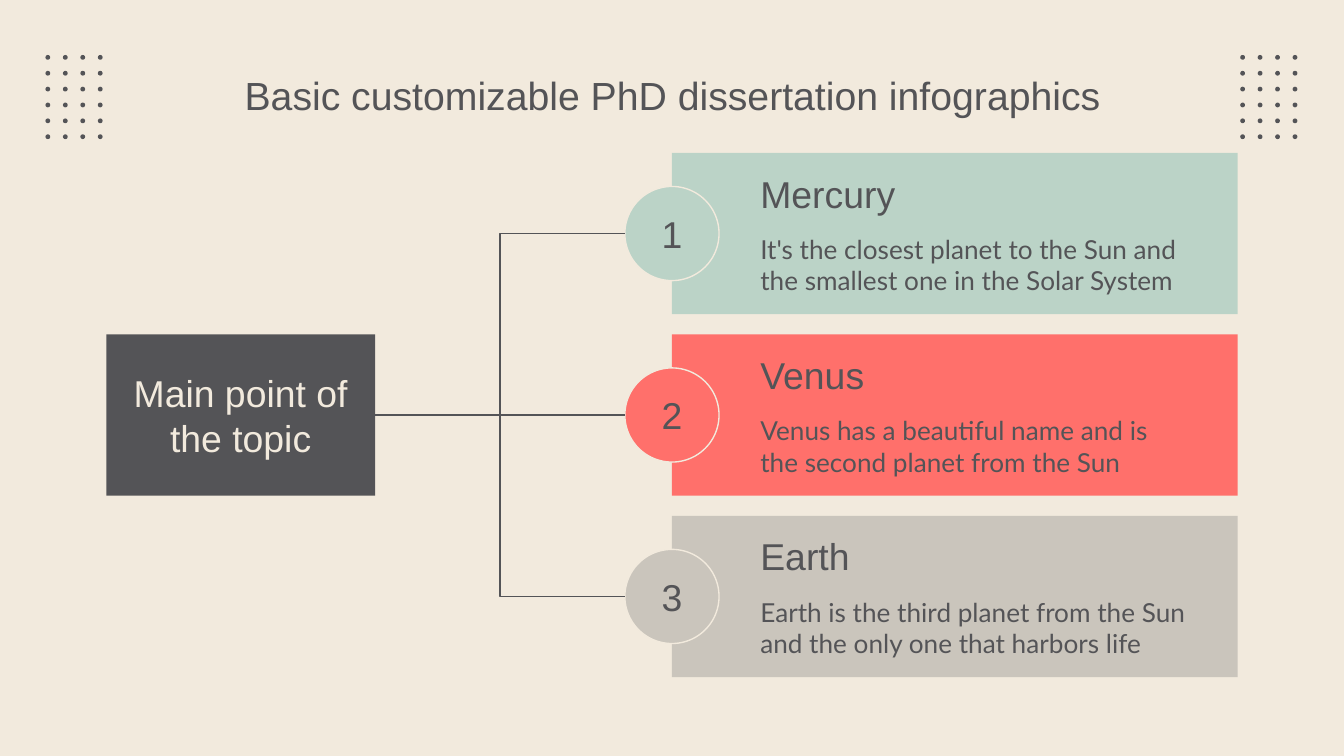
from lxml import etree
from pptx import Presentation, util as u
from pptx.dml.color import RGBColor
from pptx.enum import shapes, text
from pptx.oxml.ns import qn

CREAM = RGBColor(0xF2, 0xEA, 0xDD)
CHARCOAL = RGBColor(0x54, 0x54, 0x57)
GREEN = RGBColor(0xBB, 0xD3, 0xC7)
CORAL = RGBColor(0xFF, 0x70, 0x6B)
GREY = RGBColor(0xCA, 0xC5, 0xBC)

RECTANGLE = shapes.MSO_SHAPE.RECTANGLE
OVAL = shapes.MSO_SHAPE.OVAL
LEFT, CENTER = text.PP_ALIGN.LEFT, text.PP_ALIGN.CENTER
TOP, MIDDLE = text.MSO_ANCHOR.TOP, text.MSO_ANCHOR.MIDDLE

presentation = Presentation()
presentation.slide_width = u.Cm(25.4)
presentation.slide_height = u.Cm(14.29)
slide = presentation.slides.add_slide(presentation.slide_layouts[5])
slide.background.fill.solid()
slide.background.fill.fore_color.rgb = CREAM


def write(shape, words, size=20, font="Arial", color=CHARCOAL,
          align=CENTER, anchor=MIDDLE, top_inset=0.25):
    frame = shape.text_frame
    frame.word_wrap = True
    frame.auto_size = text.MSO_AUTO_SIZE.NONE
    frame.vertical_anchor = anchor
    frame.margin_left = frame.margin_right = frame.margin_bottom = u.Cm(0.25)
    frame.margin_top = u.Cm(top_inset)
    frame.text = words
    paragraph = frame.paragraphs[0]
    paragraph.alignment = align
    paragraph.font.size = u.Pt(size)
    paragraph.font.name = font
    paragraph.font.color.rgb = color


def add_filled(kind, left, top, width, height, color, outline=None):
    shape = slide.shapes.add_shape(
        kind, u.Cm(left), u.Cm(top), u.Cm(width), u.Cm(height))
    shape.shadow.inherit = False
    shape.fill.solid()
    shape.fill.fore_color.rgb = color
    if outline is None:
        shape.line.fill.background()
    else:
        shape.line.color.rgb = outline
        shape.line.width = u.Pt(0.75)
    return shape


# Dot grids in the upper corners
for grid_left in (0.86, 23.44):
    for row in range(6):
        for column in range(4):
            add_filled(OVAL, grid_left + 0.33 * column, 1.04 + 0.3 * row,
                       0.09, 0.09, CHARCOAL)

title = slide.shapes.title
title.left, title.top = u.Cm(2.01), u.Cm(1.02)
title.width, title.height = u.Cm(21.41), u.Cm(1.6)
write(title, "Basic customizable PhD dissertation infographics",
      size=21, top_inset=0.18)

# Cards with numbered circles on their left edges
CARD_LEFT, CARD_TOP, CARD_WIDTH, CARD_HEIGHT = 12.7, 2.89, 10.69, 3.05
CARD_PITCH = 3.43
CIRCLE = 1.78
planets = [
    ("Mercury", "It's the closest planet to the Sun and "
     "the smallest one in the Solar System", GREEN),
    ("Venus", "Venus has a beautiful name and is "
     "the second planet from the Sun", CORAL),
    ("Earth", "Earth is the third planet from the Sun "
     "and the only one that harbors life", GREY),
]
card_middles = []
for index, (name, description, color) in enumerate(planets):
    top = CARD_TOP + index * CARD_PITCH
    middle = top + CARD_HEIGHT / 2
    card_middles.append(middle)
    add_filled(RECTANGLE, CARD_LEFT, top, CARD_WIDTH, CARD_HEIGHT, color)

    heading = slide.shapes.add_textbox(
        u.Cm(14.12), u.Cm(top + 0.25), u.Cm(8.64), u.Cm(1.02))
    write(heading, name, align=LEFT)
    body = slide.shapes.add_textbox(
        u.Cm(14.12), u.Cm(top + 1.27), u.Cm(8.64), u.Cm(1.52))
    write(body, description, size=14, font="Lato", align=LEFT, anchor=TOP)

    circle = add_filled(OVAL, CARD_LEFT - CIRCLE / 2, middle - CIRCLE / 2,
                        CIRCLE, CIRCLE, color, outline=CREAM)
    write(circle, str(index + 1))

# Main point, level with the second card
MAIN_LEFT, MAIN_WIDTH = 2.01, 5.08
main_point = add_filled(RECTANGLE, MAIN_LEFT, CARD_TOP + CARD_PITCH,
                        MAIN_WIDTH, CARD_HEIGHT, CHARCOAL)
write(main_point, "Main point of the topic", color=CREAM)

for middle in card_middles:
    connector = slide.shapes.add_connector(
        shapes.MSO_CONNECTOR.ELBOW,
        u.Cm(MAIN_LEFT + MAIN_WIDTH), u.Cm(card_middles[1]),
        u.Cm(CARD_LEFT - CIRCLE / 2), u.Cm(middle))
    connector.line.color.rgb = CHARCOAL
    connector.line.width = u.Pt(0.75)
    properties = connector._element.find(qn("p:spPr"))
    etree.SubElement(properties, qn("a:effectLst"))

presentation.save("out.pptx")
